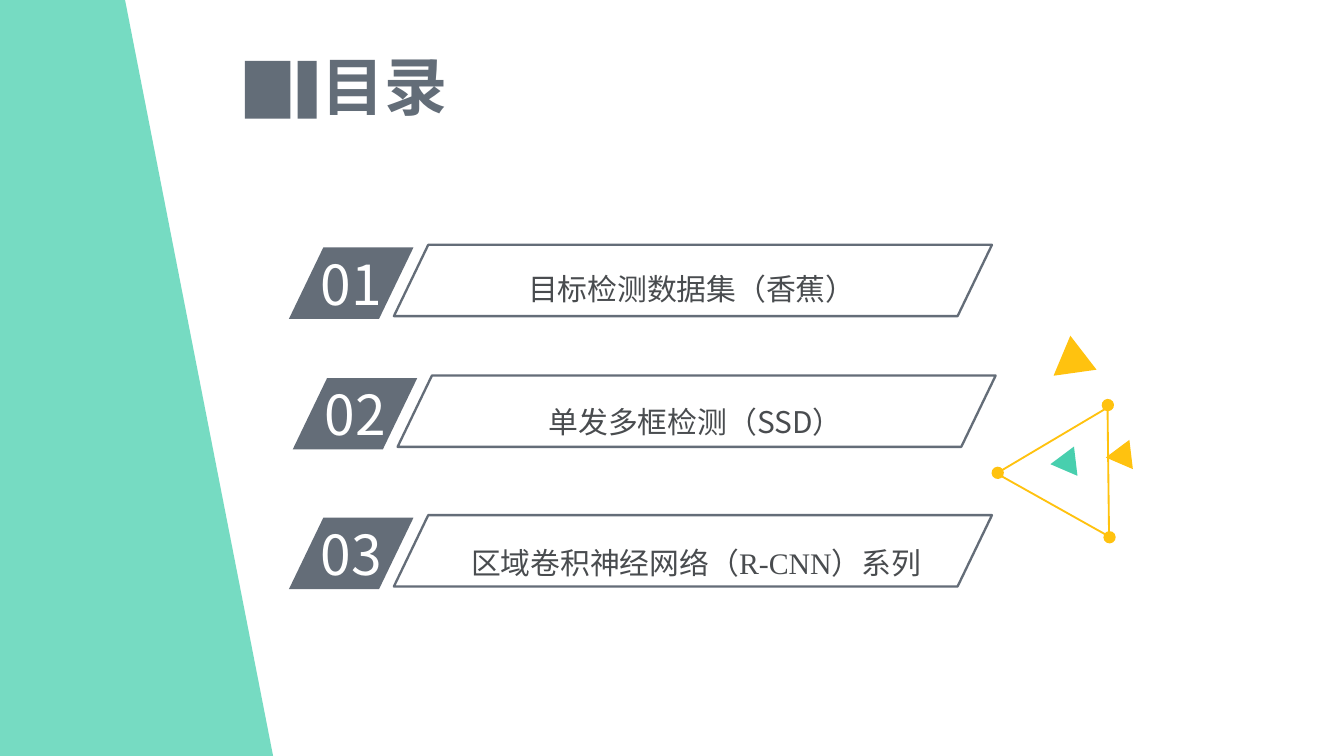
from dataclasses import dataclass
from typing import Optional

from lxml.etree import SubElement
from pptx import Presentation
from pptx.dml.color import RGBColor
from pptx.enum.shapes import MSO_SHAPE as Preset
from pptx.enum.text import MSO_ANCHOR as Anchor, MSO_AUTO_SIZE as AutoSize, PP_ALIGN as Align
from pptx.oxml.ns import qn
from pptx.shapes.autoshape import Shape
from pptx.slide import Slide
from pptx.text.text import TextFrame
from pptx.util import Pt


@dataclass(frozen=True)
class Theme:
    mint: str = "49CFAE"
    green: str = "48CFAE"
    yellow: str = "FFC20F"
    slate: str = "636D78"
    row_slate: str = "646D78"
    ink: str = "494C4F"
    white: str = "FFFFFF"
    sans: str = "Noto Sans CJK SC"
    serif: str = "Times New Roman"
    title_size: float = 33.8
    number_size: float = 29.5
    label_size: float = 16


@dataclass(frozen=True)
class Box:
    left: float
    top: float
    width: float
    height: float


@dataclass(frozen=True)
class Chapter:
    number: str
    label: str
    left: float
    top: float
    label_box: Box
    latin_font: str


@dataclass(frozen=True)
class Ornament:
    preset: Preset
    box: Box
    rotation: float
    fill: Optional[str] = None
    line: Optional[str] = None


THEME = Theme()
SLANT = 0.482
DOT = 6.6

CHAPTERS = [
    Chapter("01", "目标检测数据集（香蕉）", 154.8, 132.6, Box(253.4, 132.5, 234.7, 30.5), THEME.sans),
    Chapter("02", "单发多框检测（SSD）", 156.8, 202.6, Box(220.3, 203.8, 304.6, 31), THEME.sans),
    Chapter("03", "区域卷积神经网络（R-CNN）系列", 154.8, 277.4, Box(220.3, 279.4, 305.3, 31), THEME.serif),
]

ORNAMENTS = [
    Ornament(Preset.ISOSCELES_TRIANGLE, Box(560.9, 185, 23, 20.2), 232.4, THEME.yellow),
    Ornament(Preset.ISOSCELES_TRIANGLE, Box(565.2, 242.6, 15.8, 13.7), 143.3, THEME.green),
    Ornament(Preset.ISOSCELES_TRIANGLE, Box(594.9, 239, 15.8, 13.7), 143.3, THEME.yellow),
    Ornament(Preset.ISOSCELES_TRIANGLE, Box(544.3, 231.8, 69.1, 59.8), 149.3, line=THEME.yellow),
] + [
    Ornament(Preset.OVAL, Box(left, top, DOT, DOT), 86, THEME.yellow)
    for left, top in [(590.2, 213.7), (591.1, 284.5), (531.2, 250)]
]


def place(shape: Shape, box: Box) -> None:
    shape.left, shape.top = Pt(box.left), Pt(box.top)
    shape.width, shape.height = Pt(box.width), Pt(box.height)


def paint(shape: Shape, fill: Optional[str] = None, line: Optional[str] = None, weight: float = 1) -> None:
    shape.shadow.inherit = False
    if fill:
        shape.fill.solid()
        shape.fill.fore_color.rgb = RGBColor.from_string(fill)
    else:
        shape.fill.background()
    if line:
        shape.line.color.rgb = RGBColor.from_string(line)
        shape.line.width = Pt(weight)
    else:
        shape.line.fill.background()


def draw_preset(slide: Slide, preset: Preset, box: Box, fill: Optional[str] = None,
                line: Optional[str] = None, weight: float = 1) -> Shape:
    shape = slide.shapes.add_shape(preset, Pt(box.left), Pt(box.top), Pt(box.width), Pt(box.height))
    paint(shape, fill, line, weight)
    return shape


def write(frame: TextFrame, words: str, size: float, color: str, latin: str = THEME.sans,
          bold: bool = False, align: Align = Align.LEFT) -> None:
    frame.text = words
    frame.word_wrap = True
    paragraph = frame.paragraphs[0]
    paragraph.alignment = align
    paragraph.space_before = Pt(0)
    for run in paragraph.runs:
        run.font.size = Pt(size)
        run.font.bold = bold
        run.font.name = latin
        run.font.color.rgb = RGBColor.from_string(color)
        SubElement(run.font._element, qn("a:ea"), typeface=THEME.sans)


def add_text_frame(slide: Slide, box: Box) -> TextFrame:
    frame = slide.shapes.add_textbox(Pt(box.left), Pt(box.top), Pt(box.width), Pt(box.height)).text_frame
    frame.auto_size = AutoSize.SHAPE_TO_FIT_TEXT
    return frame


def draw_title(slide: Slide) -> None:
    title = slide.shapes.title
    place(title, Box(112.3, 25.2, 187.2, 41))
    title.text_frame.vertical_anchor = Anchor.MIDDLE
    title.text_frame.auto_size = AutoSize.NONE
    write(title.text_frame, "目录", THEME.title_size, THEME.slate, bold=True, align=Align.CENTER)
    for left, width in [(131.2, 24.5), (159.4, 10.3)]:
        draw_preset(slide, Preset.RECTANGLE, Box(left, 32.6, width, 31), THEME.slate)


def draw_chapter(slide: Slide, chapter: Chapter) -> None:
    tag = draw_preset(slide, Preset.PARALLELOGRAM, Box(chapter.left, chapter.top, 66.7, 38.2), THEME.row_slate)
    tag.adjustments[0] = SLANT
    number = add_text_frame(slide, Box(chapter.left + 10, chapter.top - 2.2, 63.4, 43.2))
    write(number, chapter.number, THEME.number_size, THEME.white)

    label = add_text_frame(slide, chapter.label_box)
    label.margin_left = label.margin_right = Pt(5.8)
    label.margin_top = label.margin_bottom = Pt(2.9)
    write(label, chapter.label, THEME.label_size, THEME.ink, chapter.latin_font, align=Align.CENTER)
    label.paragraphs[0].line_spacing = 1.5

    outline = draw_preset(slide, Preset.PARALLELOGRAM, Box(chapter.left + 56.2, chapter.top - 1.4, 320.4, 38.2),
                          line=THEME.row_slate, weight=1.25)
    outline.adjustments[0] = SLANT


def draw_ornament(slide: Slide, ornament: Ornament) -> None:
    shape = draw_preset(slide, ornament.preset, ornament.box, ornament.fill, ornament.line)
    shape.rotation = ornament.rotation


def draw_side_panel(slide: Slide) -> None:
    builder = slide.shapes.build_freeform(Pt(146.3), Pt(405))
    builder.add_line_segments([(Pt(67), 0), (0, 0), (0, Pt(405))], close=True)
    panel = builder.convert_to_shape()
    paint(panel, THEME.mint)
    tint = panel.fill._xPr.find(qn("a:solidFill")).find(qn("a:srgbClr"))
    SubElement(tint, qn("a:alpha"), val="75000")


def main() -> None:
    deck = Presentation()
    deck.slide_width, deck.slide_height = Pt(720), Pt(405)
    slide = deck.slides.add_slide(deck.slide_layouts[5])
    for ornament in ORNAMENTS:
        draw_ornament(slide, ornament)
    draw_title(slide)
    for chapter in CHAPTERS:
        draw_chapter(slide, chapter)
    draw_side_panel(slide)
    deck.save("out.pptx")


if __name__ == "__main__":
    main()
